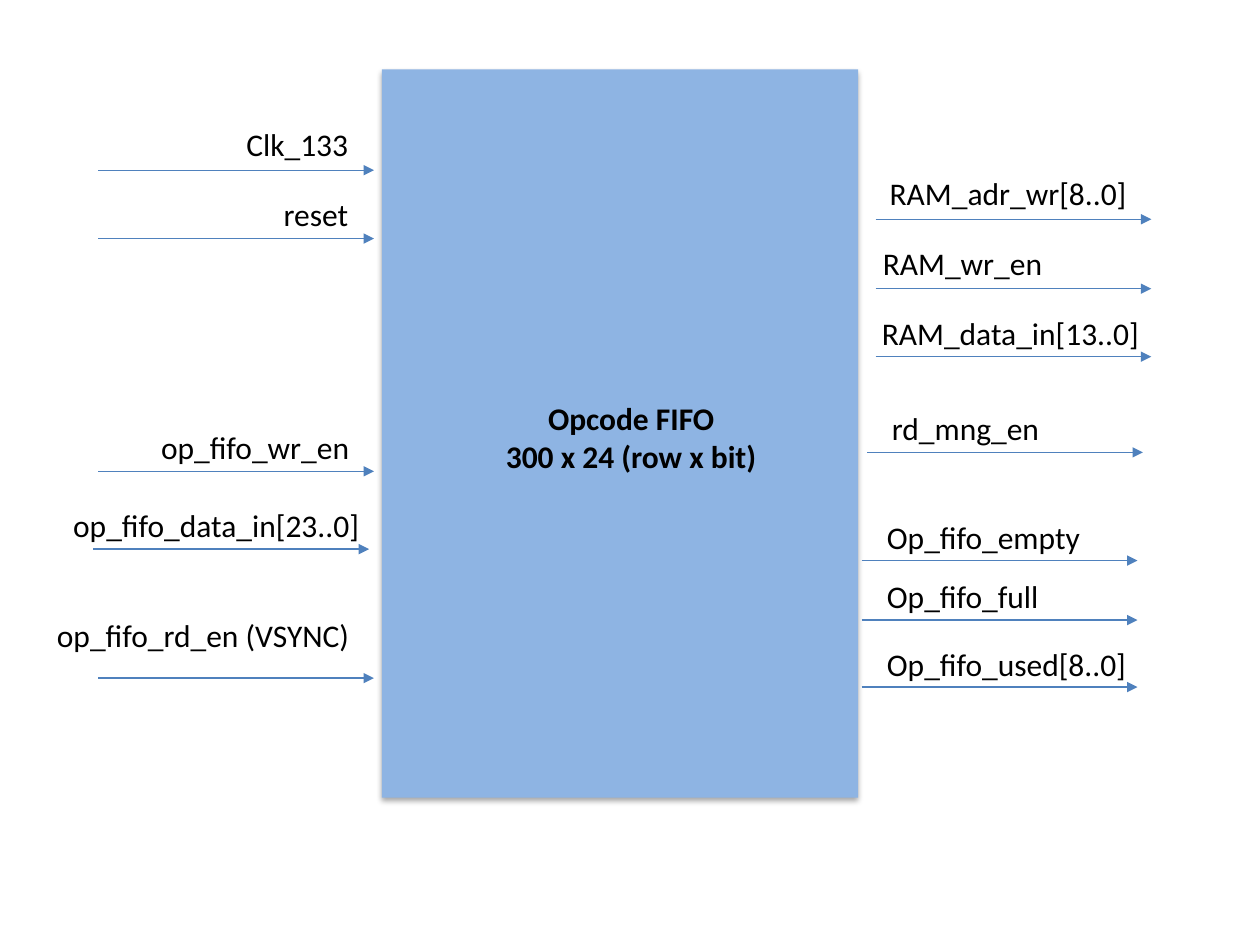
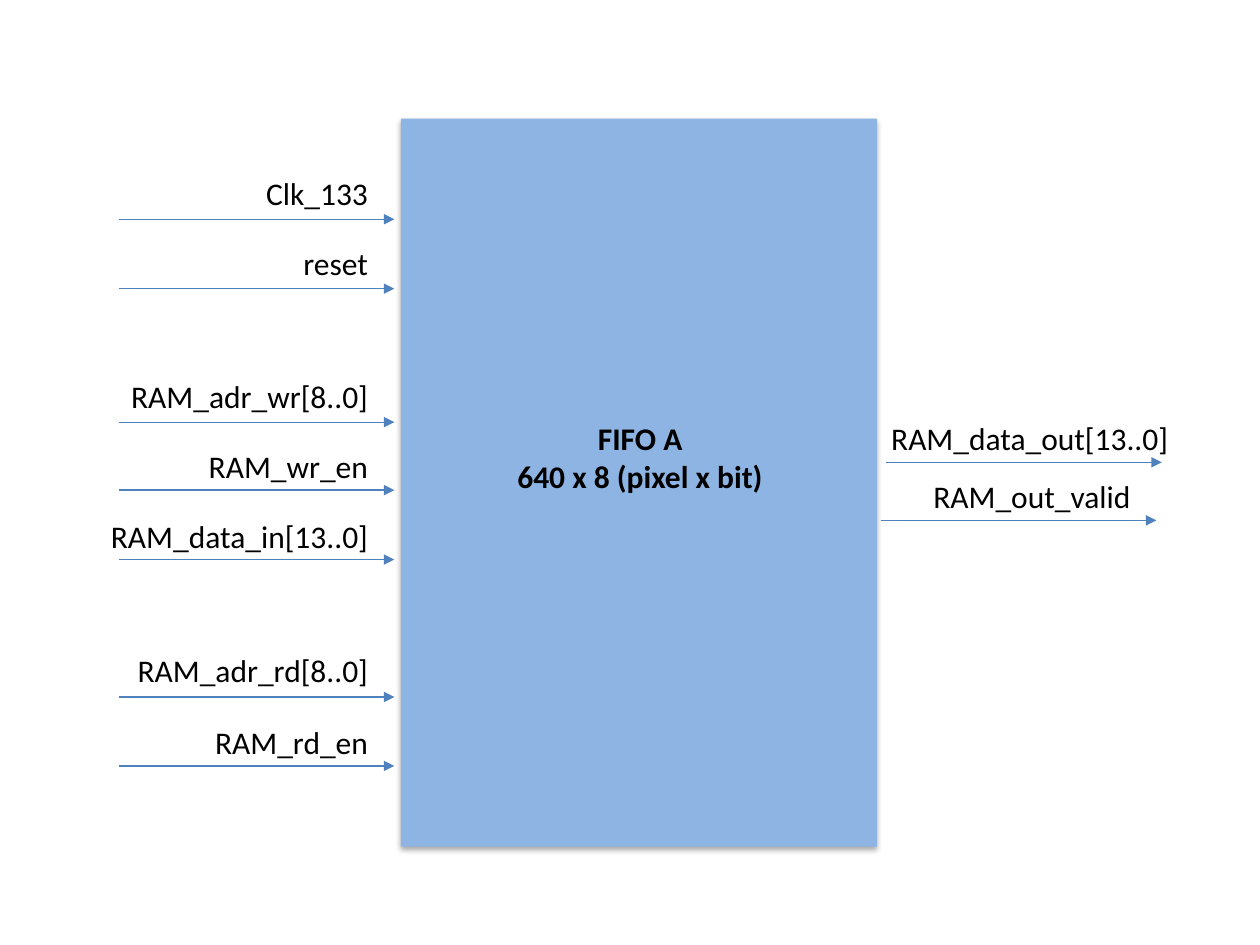
from lxml.etree import SubElement as Sub
from pptx import Presentation
from pptx.dml.color import RGBColor as Rgb
from pptx.enum.shapes import MSO_CONNECTOR as Conn, MSO_SHAPE as Form
from pptx.enum.text import MSO_AUTO_SIZE as Auto, PP_ALIGN as Align
from pptx.oxml.ns import qn
from pptx.util import Cm, Pt


def hue(code):
    return Rgb.from_string(code)


def write(group, lines, x, y, wide, side, bold=False):
    box = group.add_textbox(Cm(x), Cm(y), Cm(wide), Cm(0.21 + 0.8 * len(lines)))
    frame = box.text_frame
    frame.word_wrap = True
    frame.auto_size = Auto.SHAPE_TO_FIT_TEXT
    for i, line in enumerate(lines):
        para = frame.add_paragraph() if i else frame.paragraphs[0]
        para.alignment = side
        run = para.add_run()
        run.text = line
        run.font.name = "Calibri"
        run.font.size = Pt(18)
        run.font.bold = bold
        run.font.color.rgb = hue(INK)


INK, BLUE, EDGE = "000000", "8EB4E3", "4F81BD"
SPAN = 5.56
WIDE = 5.59
R, L, C = Align.RIGHT, Align.LEFT, Align.CENTER

# Each signal: label, side, label left, top and width, arrow left and height
opcode = [
    ("Clk_133", R, 1.68, 2.39, WIDE, 1.98, 3.43),
    ("reset", R, 1.68, 3.81, WIDE, 1.98, 4.81),
    ("op_fifo_wr_en", R, 0.79, 8.51, 6.5, 1.98, 9.5),
    ("op_fifo_data_in[23..0]", R, 0.79, 10.08, 6.7, 1.88, 11.07),
    ("op_fifo_rd_en (VSYNC)", R, 0.5, 12.29, 6.79, 1.98, 13.67),
    ("RAM_adr_wr[8..0]", R, 17.37, 3.38, WIDE, 17.65, 4.42),
    ("RAM_wr_en", R, 15.67, 4.8, WIDE, 17.65, 5.82),
    ("RAM_data_in[13..0]", R, 17.32, 6.2, 5.89, 17.65, 7.19),
    ("rd_mng_en", L, 17.73, 8.13, WIDE, 17.48, 9.12),
    ("Op_fifo_empty", L, 17.63, 10.31, WIDE, 17.37, 11.3),
    ("Op_fifo_full", L, 17.63, 11.51, WIDE, 17.37, 12.5),
    ("Op_fifo_used[8..0]", L, 17.63, 12.88, WIDE, 17.37, 13.85),
]
pixel = [
    ("Clk_133", R, 2.08, 3.38, WIDE, 2.39, 4.42),
    ("reset", R, 2.08, 4.8, WIDE, 2.39, 5.82),
    ("RAM_adr_wr[8..0]", R, 2.08, 7.47, WIDE, 2.39, 8.51),
    ("RAM_wr_en", R, 2.08, 8.89, WIDE, 2.39, 9.88),
    ("RAM_data_in[13..0]", R, 1.78, 10.29, 5.89, 2.39, 11.28),
    ("RAM_adr_rd[8..0]", R, 2.08, 13, WIDE, 2.39, 14.05),
    ("RAM_rd_en", R, 2.08, 14.45, WIDE, 2.39, 15.44),
    ("RAM_data_out[13..0]", R, 17.65, 8.33, 6.15, 17.86, 9.32),
    ("RAM_out_valid", R, 17.45, 9.5, WIDE, 17.75, 10.49),
]
charts = [
    (7.7, 1.4, ["Opcode FIFO", "300 x 24 (row x bit)"], 9.93, 7.92, opcode),
    (8.08, 2.39, ["FIFO A", "640 x 8 (pixel x bit)"], 10.11, 8.33, pixel),
]

deck = Presentation()
deck.slide_width, deck.slide_height = Cm(25.4), Cm(19.05)

for left, top, name, x, y, ports in charts:
    slide = deck.slides.add_slide(deck.slide_layouts[6])
    group = slide.shapes.add_group_shape().shapes

    block = group.add_shape(Form.RECTANGLE, Cm(left), Cm(top), Cm(9.6), Cm(14.68))
    block.fill.solid()
    block.fill.fore_color.rgb = hue(BLUE)
    block.line.fill.background()
    block.shadow.inherit = False
    glow = block.element.spPr.find(qn("a:effectLst"))
    shade = Sub(glow, qn("a:outerShdw"), blurRad="40000", dist="23000",
                dir="5400000", rotWithShape="0")
    tint = Sub(shade, qn("a:srgbClr"), val=INK)
    Sub(tint, qn("a:alpha"), val="35000")
    write(group, name, x, y, WIDE, C, True)

    for label, side, x, y, wide, start, level in ports:
        write(group, [label], x, y, wide, side)
        wire = group.add_connector(Conn.STRAIGHT, Cm(start), Cm(level),
                                   Cm(start + SPAN), Cm(level))
        wire.line.color.rgb = hue(EDGE)
        wire.line.width = Pt(0.75)
        prop = wire.element.spPr
        Sub(prop.find(qn("a:ln")), qn("a:tailEnd"), type="triangle")
        Sub(prop, qn("a:effectLst"))

deck.save("out.pptx")
